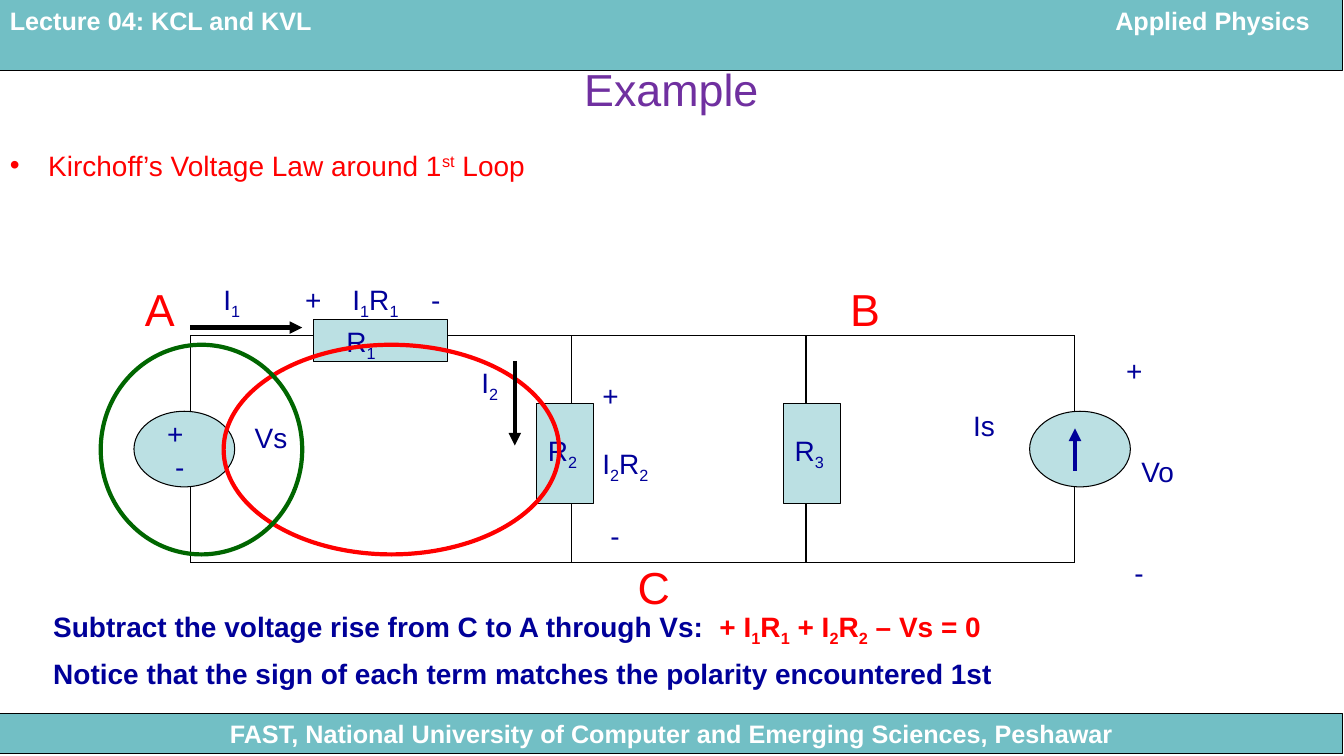
from pptx import Presentation
from pptx.dml.color import RGBColor
from pptx.enum.shapes import MSO_CONNECTOR as CONN, MSO_SHAPE as SHAPE
from pptx.enum.text import MSO_ANCHOR as ANCHOR, PP_ALIGN as ALIGN
from pptx.oxml.ns import qn
from pptx.util import Pt
from lxml.etree import SubElement

PX = 9144
W, H = 1334, 750
BLACK, WHITE, RED, NAVY = "000000", "FFFFFF", "FF0000", "000099"
GREEN, PURPLE, TEAL, PALE = "006600", "7030A0", "72BFC5", "BBE0E3"
BASELINE = {"_": "-25000", "^": "30000"}

BAR_FONT = dict(size=18, color=WHITE, bold=True)
BARS = [
    ((0, 708, 1333, 40), ALIGN.CENTER,
     "FAST, National University of Computer and Emerging Sciences, Peshawar"),
    ((0, 0, 1333, 70), ALIGN.LEFT, "Lecture 04: KCL and KVL"),
]
COURSE = "Applied Physics"
TITLE = "Example"
BULLET = "Kirchoff’s Voltage Law around 1|^st| Loop"
NOTES = [
    [("Subtract the voltage rise from C to A through Vs:  ", NAVY),
     ("+ I|_1|R|_1| + I|_2|R|_2| – Vs = 0", RED)],
    [("Notice that the sign of each term matches the polarity encountered 1st", NAVY)],
]

TOP, BOTTOM = 333, 558
COMPONENTS = [
    (SHAPE.OVAL, (133, 408, 100, 75)),
    (SHAPE.RECTANGLE, (311, 317, 133, 42)),
    (SHAPE.RECTANGLE, (533, 400, 56, 100)),
    (SHAPE.RECTANGLE, (778, 400, 56, 100)),
    (SHAPE.OVAL, (1022, 408, 100, 75)),
]
BRANCHES = [(189, 408, 483), (567, 400, 500), (800, 400, 500), (1067, 408, 483)]
RAILS = [(189, 311, TOP), (444, 1067, TOP), (189, 1067, BOTTOM)]
ARROWS = [((1067, 467, 1067, 425), NAVY), ((189, 325, 300, 325), BLACK),
          ((511, 358, 511, 442), BLACK)]
LOOPS = [((222, 342, 333, 208), RED), ((100, 342, 200, 208), GREEN)]
LABELS = [
    ("+", 156, 408), ("-", 164, 441), ("Vs", 243, 412), ("Is", 956, 400),
    ("R|_1", 334, 317), ("R|_2", 534, 425), ("R|_3", 779, 425),
    ("+", 1108, 346), ("Vo", 1123, 446), ("-", 1116, 546),
    ("I|_2", 468, 358), ("I|_1", 212, 275),
    ("+", 588, 371), ("I|_2|R|_2", 588, 438), ("-", 596, 509),
    ("+", 293, 275), ("I|_1|R|_1", 340, 275), ("-", 418, 275),
]
NODES = [("A", 134, 275), ("B", 834, 275), ("C", 623, 550)]

prs = Presentation()
prs.slide_width, prs.slide_height = W * PX, H * PX
s = prs.slides.add_slide(prs.slide_layouts[6])


def rgb(value):
    """Turn a hex string into a colour."""
    return RGBColor.from_string(value)


def write(p, text, size=20, color=NAVY, bold=False):
    """Add runs, where | parts them and _ or ^ opens a sub- or superscript."""
    for part in text.split("|"):
        r = p.add_run()
        r.text = part.lstrip("_^")
        for key, value in dict(name="Arial", size=Pt(size), bold=bold).items():
            setattr(r.font, key, value)
        r.font.color.rgb = rgb(color)
        if part[0] in BASELINE:
            r.font._element.set("baseline", BASELINE[part[0]])


def textbox(box, text="", align=ALIGN.LEFT, anchor=ANCHOR.TOP, **font):
    """Add a wrapping text box and return its first paragraph."""
    tf = s.shapes.add_textbox(*(v * PX for v in box)).text_frame
    tf.word_wrap, tf.vertical_anchor = True, anchor
    p = tf.paragraphs[0]
    p.alignment = align
    if text:
        write(p, text, **font)
    return p


def shape(kind, box, fill=None, line=BLACK, width=0.75):
    """Add a preset shape, unfilled when no fill is given."""
    sp = s.shapes.add_shape(kind, *(v * PX for v in box))
    sp.shadow.inherit = False
    if fill:
        sp.fill.solid()
        sp.fill.fore_color.rgb = rgb(fill)
    else:
        sp.fill.background()
    sp.line.color.rgb, sp.line.width = rgb(line), Pt(width)
    return sp


def wire(ends, color=BLACK, width=0.75, arrow=False):
    """Add a straight line, with an arrowhead at its end on request."""
    c = s.shapes.add_connector(CONN.STRAIGHT, *(v * PX for v in ends))
    c.line.color.rgb, c.line.width = rgb(color), Pt(width)
    if arrow:
        SubElement(c.line._get_or_add_ln(), qn("a:tailEnd"), type="triangle")
    SubElement(c._element.spPr, qn("a:effectLst"))


for box, align, text in BARS:
    tf = shape(SHAPE.RECTANGLE, box, TEAL).text_frame
    tf.word_wrap, tf.vertical_anchor = True, ANCHOR.TOP
    tf.paragraphs[0].alignment = align
    write(tf.paragraphs[0], text, **BAR_FONT)
textbox((1010, 0, 300, 40), COURSE, ALIGN.RIGHT, **BAR_FONT)
textbox((0, 42, 1333, 92), TITLE, ALIGN.CENTER, ANCHOR.MIDDLE, size=32, color=PURPLE)

p = textbox((0, 142, 1333, 50), BULLET, color=RED)
pPr = p._p.get_or_add_pPr()
for key, value in dict(marL=38 * PX, indent=-38 * PX).items():
    pPr.set(key, str(value))
SubElement(SubElement(pPr, qn("a:buClr")), qn("a:srgbClr"), val=RED)
SubElement(pPr, qn("a:buFont"), typeface="Arial")
SubElement(pPr, qn("a:buChar"), char="•")

for kind, box in COMPONENTS:
    shape(kind, box, PALE)
for x, upper, lower in BRANCHES:
    wire((x, upper, x, TOP))
    wire((x, BOTTOM, x, lower))
for left, right, y in RAILS:
    wire((left, y, right, y))
for text, x, y in LABELS:
    textbox((x, y, 30 + 12 * len(text.replace("|_", "")), 44), text)
for text, x, y in NODES:
    textbox((x, y, 55, 64), text, size=32, color=RED)
for box, color in LOOPS:
    shape(SHAPE.OVAL, box, line=color, width=3)
for ends, color in ARROWS:
    wire(ends, color, 3, True)

p = textbox((43, 600, 980, 90))
for i, parts in enumerate(NOTES):
    if i:
        p = s.shapes[-1].text_frame.add_paragraph()
        p.space_before = Pt(6)
    for text, color in parts:
        write(p, text, color=color, bold=True)

prs.save("out.pptx")
